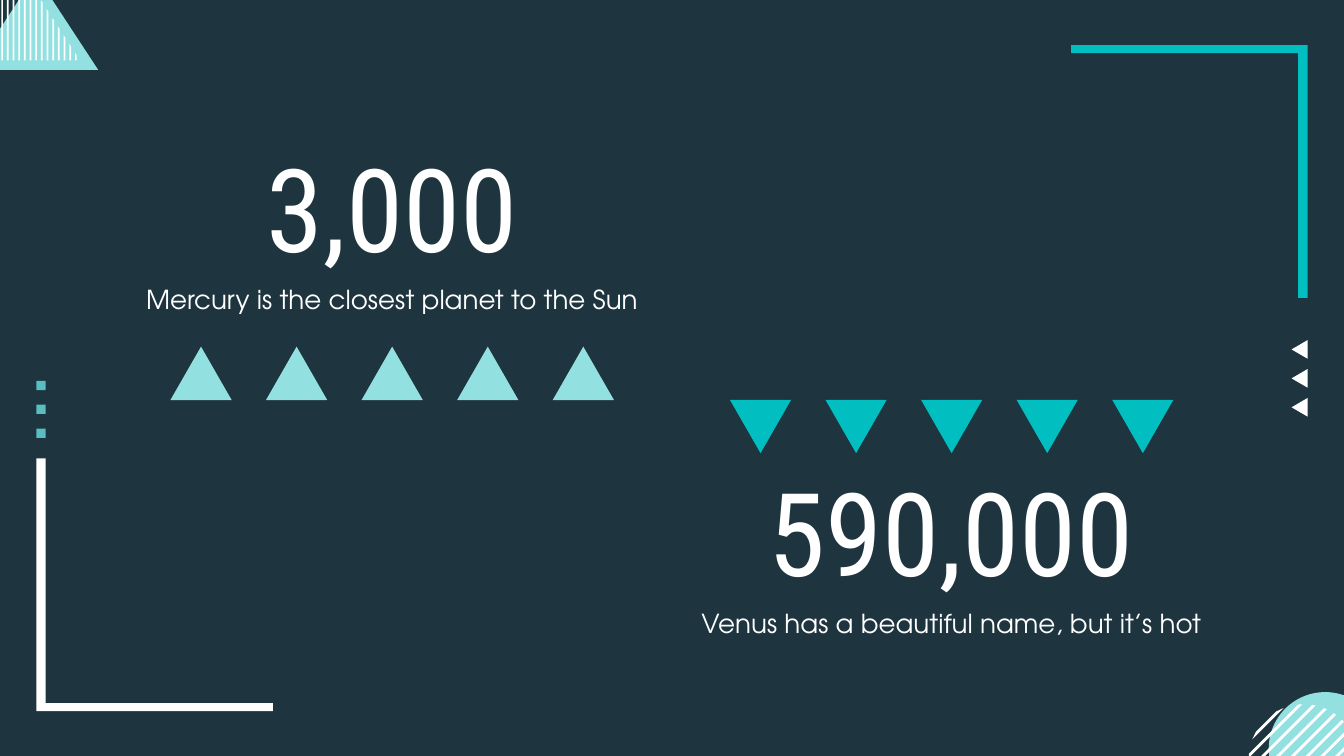
import math
from dataclasses import dataclass

import pptx
import pptx.dml.color
import pptx.enum.shapes
import pptx.enum.text
import pptx.util

Pt = pptx.util.Pt
MSO_SHAPE = pptx.enum.shapes.MSO_SHAPE
MSO_ANCHOR = pptx.enum.text.MSO_ANCHOR


@dataclass(frozen=True)
class Theme:
    background: str = "1E343F"
    pale: str = "92E0E0"
    bright: str = "01BEC0"
    muted: str = "58BEBF"
    white: str = "FFFFFF"
    number_font: str = "Roboto Condensed"
    caption_font: str = "TeX Gyre Adventor"
    number_size: float = 62
    caption_size: float = 14


@dataclass(frozen=True)
class Box:
    left: float
    top: float
    width: float
    height: float

    def lengths(self):
        return Pt(self.left), Pt(self.top), Pt(self.width), Pt(self.height)


THEME = Theme()


def color(value):
    return pptx.dml.color.RGBColor.from_string(value)


def paint(shape, fill):
    shape.fill.solid()
    shape.fill.fore_color.rgb = color(fill)
    shape.line.fill.background()
    shape.shadow.inherit = False


def add_preset(slide, kind, box, fill, rotation=0):
    shape = slide.shapes.add_shape(kind, *box.lengths())
    shape.rotation = rotation
    paint(shape, fill)


def add_polygon(slide, points, fill):
    start, *others = [(Pt(x), Pt(y)) for x, y in points]
    builder = slide.shapes.build_freeform(*start)
    builder.add_line_segments(others, close=True)
    paint(builder.convert_to_shape(), fill)


def write_text(shape, box, text, font_name, size, anchor, space_after=0):
    shape.left, shape.top, shape.width, shape.height = box.lengths()
    frame = shape.text_frame
    frame.word_wrap = True
    frame.auto_size = pptx.enum.text.MSO_AUTO_SIZE.NONE
    frame.vertical_anchor = anchor
    frame.margin_left = frame.margin_right = Pt(7.2)
    frame.margin_top = frame.margin_bottom = Pt(7.2)
    paragraph = frame.paragraphs[0]
    paragraph.alignment = pptx.enum.text.PP_ALIGN.CENTER
    paragraph.line_spacing = 1.0
    paragraph.space_after = Pt(space_after)
    run = paragraph.add_run()
    run.text = text
    run.font.name = font_name
    run.font.size = Pt(size)
    run.font.color.rgb = color(THEME.white)


def add_striped_triangle(slide, box):
    """Triangle with upright stripes cut by a second, smaller triangle."""
    add_preset(slide, MSO_SHAPE.ISOSCELES_TRIANGLE, box, THEME.pale)
    apex_x, apex_y = box.left + 24.1, box.top - 5
    bottom = box.top + box.height - 5

    def edge(x):
        return apex_y + 1.54 * abs(x - apex_x)

    for index in range(14):
        left = box.left + 15.1 + 3.04 * index
        right = left + 0.9
        add_polygon(slide, [(left, bottom), (right, bottom),
                            (right, edge(right)), (left, edge(left))], THEME.white)


def add_striped_circle(slide, box):
    """Circle with slanted stripes cut by a second circle beside it."""
    add_preset(slide, MSO_SHAPE.OVAL, box, THEME.pale)
    radius = 29.5
    center_x, center_y = box.left + 18.7, box.top + 36

    def chord(offset):
        reach = math.sqrt(radius ** 2 / 2 - offset ** 2 / 4)
        x, y = center_x + offset / 2, center_y + offset / 2
        return [(x - reach, y + reach), (x + reach, y - reach)]

    for index in range(8):
        offset = -40.3 + 7.92 * index
        add_polygon(slide, chord(offset) + chord(offset + 2.16)[::-1], THEME.white)


def add_bracket(slide, box, fill, at_top_right):
    """L-shaped frame corner: top right, or turned to bottom left."""
    right, bottom = box.left + box.width, box.top + box.height
    if at_top_right:
        x, y, end_x, end_y, turn = right, box.top, box.left, bottom, 1
    else:
        x, y, end_x, end_y, turn = box.left, bottom, right, box.top, -1
    inner_x, inner_y = x - 5 * turn, y + 4.2 * turn
    add_polygon(slide, [(end_x, y), (end_x, inner_y), (inner_x, inner_y),
                        (inner_x, end_y), (x, end_y), (x, y)], fill)


def add_series(slide, kind, first, count, step_x, step_y, fill, rotation=0):
    for index in range(count):
        box = Box(first.left + index * step_x, first.top + index * step_y,
                  first.width, first.height)
        add_preset(slide, kind, box, fill, rotation)


def add_fact(slide, box, number, caption, fill, number_shape=None, row_on_top=False):
    """Large number, caption and a centred row of five triangles."""
    text_height, row_height, side, step = 90.7, 28.6, 32.8, 51.2
    bottom = box.top + box.height
    text_top = bottom - text_height if row_on_top else box.top
    row_top = box.top if row_on_top else bottom - row_height

    number_box = Box(box.left, text_top, box.width, 65.5)
    caption_box = Box(box.left, text_top + 55.4, box.width, 35.3)
    if number_shape is None:
        number_shape = slide.shapes.add_textbox(*number_box.lengths())
    write_text(number_shape, number_box, number, THEME.number_font,
               THEME.number_size, MSO_ANCHOR.BOTTOM)
    write_text(slide.shapes.add_textbox(*caption_box.lengths()), caption_box, caption,
               THEME.caption_font, THEME.caption_size, MSO_ANCHOR.TOP, space_after=16)

    row_left = box.left + (box.width - 4 * step - side) / 2
    add_series(slide, MSO_SHAPE.ISOSCELES_TRIANGLE,
               Box(row_left, row_top, side, row_height), 5, step, 0,
               fill, 180 if row_on_top else 0)


def add_decoration(slide):
    add_striped_triangle(slide, Box(-14.4, -13.7, 67, 51.1))
    add_striped_circle(slide, Box(679.7, 370.8, 60.5, 60.5))
    add_series(slide, MSO_SHAPE.ISOSCELES_TRIANGLE,
               Box(691.2, 182.9, 10, 8.6), 3, 0, 15.5, THEME.white, 270)
    add_series(slide, MSO_SHAPE.RECTANGLE,
               Box(19.5, 204, 5, 5), 3, 0, 12.8, THEME.muted)
    add_bracket(slide, Box(573.8, 24.2, 126.7, 135.4), THEME.bright, True)
    add_bracket(slide, Box(19.5, 245.5, 126.7, 135.4), THEME.white, False)


def main():
    presentation = pptx.Presentation()
    presentation.slide_width, presentation.slide_height = Pt(720), Pt(405)
    slide = presentation.slides.add_slide(presentation.slide_layouts[5])
    slide.background.fill.solid()
    slide.background.fill.fore_color.rgb = color(THEME.background)

    add_decoration(slide)
    add_fact(slide, Box(56, 89.3, 308.2, 125), "3,000",
             "Mercury is the closest planet to the Sun", THEME.pale,
             number_shape=slide.shapes.title)
    add_fact(slide, Box(355.7, 214.2, 308.2, 139.3), "590,000",
             "Venus has a beautiful name, but it’s hot", THEME.bright, row_on_top=True)
    presentation.save("out.pptx")


if __name__ == "__main__":
    main()
